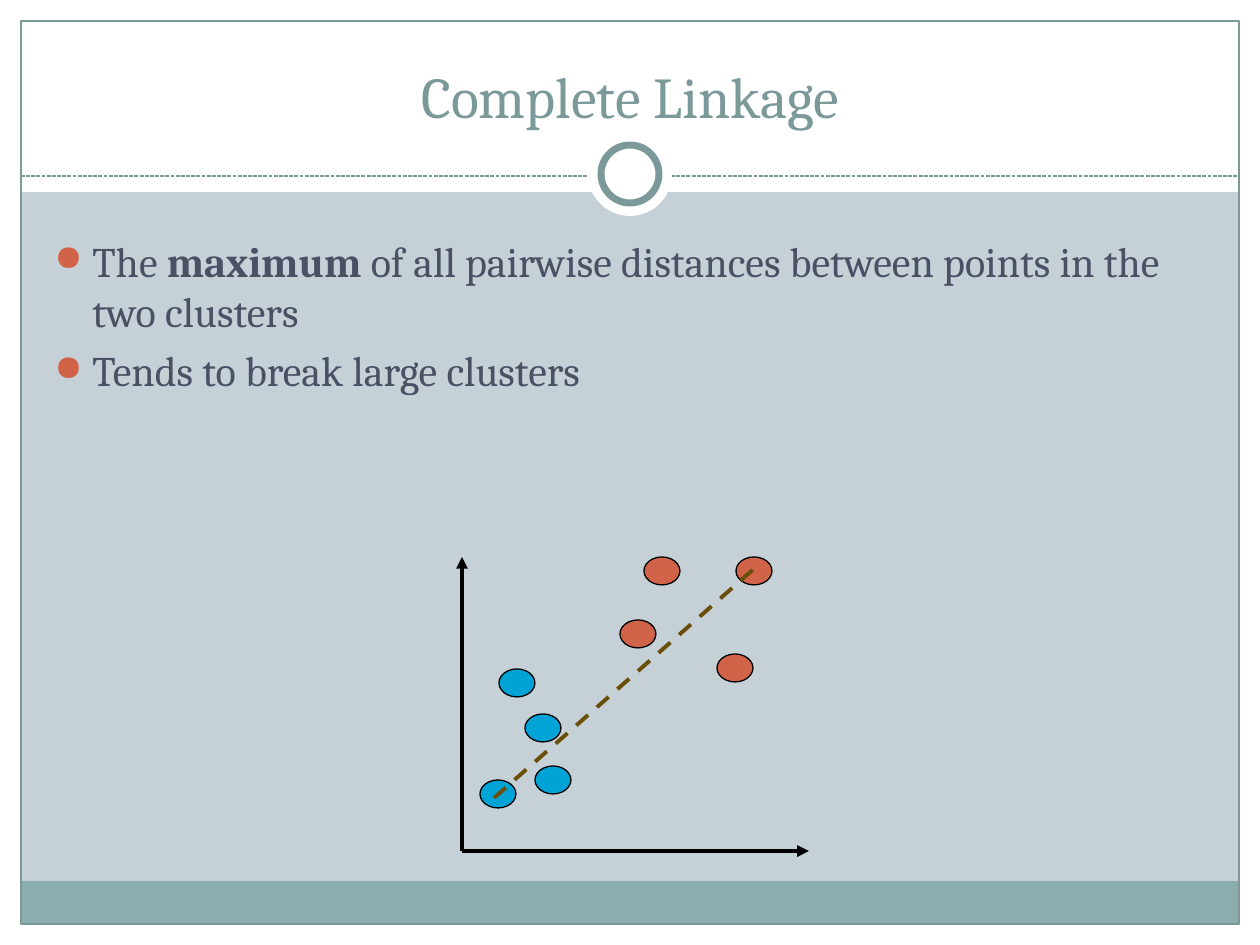
from pptx import Presentation
from pptx.dml.color import RGBColor
from pptx.enum.dml import MSO_LINE
from pptx.enum.shapes import MSO_CONNECTOR, MSO_SHAPE
from pptx.enum.text import MSO_ANCHOR, PP_ALIGN
from pptx.oxml.ns import qn
from pptx.util import Emu, Pt
from lxml.etree import SubElement

WHITE = RGBColor(0xFF, 0xFF, 0xFF)
BLACK = RGBColor(0x00, 0x00, 0x00)
MIST = RGBColor(0xC5, 0xD1, 0xD7)
TEAL = RGBColor(0x7C, 0x99, 0x9A)
BAND = RGBColor(0x8C, 0xAD, 0xAE)
SLATE = RGBColor(0x4B, 0x50, 0x64)
RED = RGBColor(0xD1, 0x63, 0x49)
BLUE = RGBColor(0x00, 0xA3, 0xD6)
BROWN = RGBColor(0x69, 0x4F, 0x07)

WIDE, HIGH = 1260, 945
EDGE = 21


def px(n):
    return Emu(round(n * 914400 / 126))


def write(para, text, size=24, color=SLATE, bold=False, font="Cambria"):
    run = para.add_run()
    run.text = text
    run.font.name = font
    run.font.size = Pt(size)
    run.font.bold = bold
    run.font.color.rgb = color


def bullet(para, color, indent=38, size=85):
    props = para._p.get_or_add_pPr()
    props.set("marL", str(px(indent)))
    props.set("indent", str(-px(indent)))
    tint = SubElement(props, qn("a:buClr"))
    SubElement(tint, qn("a:srgbClr"), val=str(color))
    SubElement(props, qn("a:buSzPct"), val=str(size * 1000))
    SubElement(props, qn("a:buChar"), char="●")


class Painter:
    def __init__(self, slide):
        self.slide = slide

    def shape(self, kind, x, y, w, h, fill=None, line=None, width=0.75):
        item = self.slide.shapes.add_shape(kind, px(x), px(y), px(w), px(h))
        item.shadow.inherit = False
        if fill is None:
            item.fill.background()
        else:
            item.fill.solid()
            item.fill.fore_color.rgb = fill
        if line is None:
            item.line.fill.background()
        else:
            item.line.color.rgb = line
            item.line.width = Pt(width)

    def rect(self, *box, **style):
        self.shape(MSO_SHAPE.RECTANGLE, *box, **style)

    def oval(self, *box, **style):
        self.shape(MSO_SHAPE.OVAL, *box, **style)

    def disc(self, x, y, r, **style):
        self.oval(x - r, y - r, 2 * r, 2 * r, **style)

    def line(self, start, end, color=BLACK, width=2.25, dash=None, arrow=False):
        item = self.slide.shapes.add_connector(
            MSO_CONNECTOR.STRAIGHT, *map(px, start + end))
        item.line.color.rgb = color
        item.line.width = Pt(width)
        if dash:
            item.line.dash_style = dash
        if arrow:
            SubElement(item.line._get_or_add_ln(), qn("a:tailEnd"), type="triangle")
        SubElement(item._element.spPr, qn("a:effectLst"))

    def text(self, x, y, w, h, anchor=MSO_ANCHOR.TOP):
        box = self.slide.shapes.add_textbox(px(x), px(y), px(w), px(h))
        frame = box.text_frame
        frame.word_wrap = True
        frame.vertical_anchor = anchor
        return frame


def main():
    deck = Presentation()
    deck.slide_width, deck.slide_height = px(WIDE), px(HIGH)
    slide = deck.slides.add_slide(deck.slide_layouts[6])
    slide.background.fill.solid()
    slide.background.fill.fore_color.rgb = MIST
    art = Painter(slide)

    # White margins, bottom band and frame
    art.rect(0, HIGH - EDGE, WIDE, EDGE, fill=WHITE)
    art.rect(0, 0, WIDE, 192, fill=WHITE)
    for left in (0, WIDE - EDGE):
        art.rect(left, 0, EDGE, HIGH, fill=WHITE)
    inner = WIDE - 2 * EDGE
    art.rect(EDGE, 881, inner, 43, fill=BAND)
    art.rect(EDGE, EDGE, inner, HIGH - 2 * EDGE, line=TEAL)

    # Divider with ring
    art.line((EDGE, 176), (WIDE - EDGE, 176), color=TEAL, width=0.75,
             dash=MSO_LINE.SQUARE_DOT)
    art.disc(WIDE // 2, 174, 42, fill=WHITE)
    art.disc(WIDE // 2, 174, 29, fill=WHITE, line=TEAL, width=4)

    # Title
    title = art.text(42, 32, 1176, 104, anchor=MSO_ANCHOR.BOTTOM).paragraphs[0]
    title.alignment = PP_ALIGN.CENTER
    write(title, "Complete Linkage", size=33, color=TEAL)

    # Bullets
    body = art.text(42, 229, 1172, 630)
    first = body.paragraphs[0]
    bullet(first, RED)
    write(first, "The ")
    write(first, "maximum", bold=True)
    write(first, " of all pairwise distances between points in the two clusters")
    second = body.add_paragraph()
    bullet(second, RED)
    second.space_before = Pt(4.8)
    write(second, "Tends to break large clusters")

    # Axes
    origin = (462, 851)
    for tip in ((462, 557), (809, 851)):
        art.line(origin, tip, arrow=True)

    # Two clusters of points
    clusters = (
        (RED, ((644, 557), (736, 557), (717, 654), (620, 620))),
        (BLUE, ((499, 669), (525, 714), (535, 766), (480, 780))),
    )
    for color, spots in clusters:
        for x, y in spots:
            art.oval(x, y, 36, 28, fill=color, line=BLACK)

    # Farthest pair
    art.line((494, 798), (756, 567), color=BROWN, dash=MSO_LINE.DASH)

    deck.save("out.pptx")


if __name__ == "__main__":
    main()
